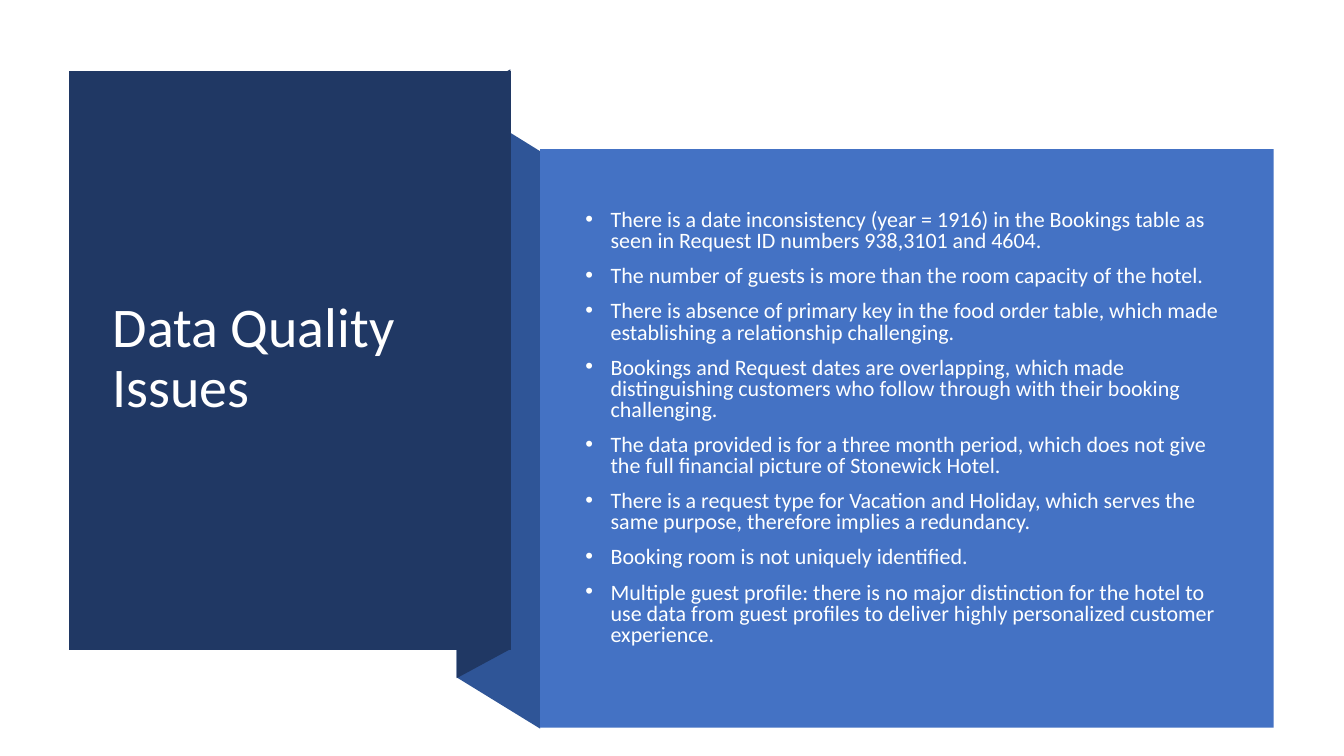
"""Build the Data Quality Issues slide: a folded ribbon panel beside a bulleted list."""
from lxml import etree
from pptx import Presentation
from pptx.dml.color import RGBColor
from pptx.enum.shapes import MSO_SHAPE
from pptx.enum.text import MSO_ANCHOR, MSO_AUTO_SIZE, PP_ALIGN
from pptx.oxml.ns import qn
from pptx.util import Cm, Pt

RECTANGLE = MSO_SHAPE.RECTANGLE
MIDDLE = MSO_ANCHOR.MIDDLE
NO_AUTOFIT = MSO_AUTO_SIZE.NONE
LEFT = PP_ALIGN.LEFT

HEADING = "Data Quality Issues"
ISSUES = [
    "There is a date inconsistency (year = 1916) in the Bookings table as seen in Request ID numbers 938,3101 and 4604.",
    "The number of guests is more than the room capacity of the hotel.",
    "There is absence of primary key in the food order table, which made establishing a relationship challenging.",
    "Bookings and Request dates are overlapping, which made distinguishing customers who follow through with their booking challenging.",
    "The data provided is for a three month period, which does not give the full financial picture of Stonewick Hotel.",
    "There is a request type for Vacation and Holiday, which serves the same purpose, therefore implies a redundancy.",
    "Booking room is not uniquely identified.",
    "Multiple guest profile: there is no major distinction for the hotel to use data from guest profiles to deliver highly personalized customer experience.",
]

FONT = "Calibri"
COLORS = {
    "navy": "203864",
    "fold": "2F5597",
    "panel": "4472C4",
    "heading": "FFFFFF",
    "issue": "FEFFFF",
}
RIBBON = [
    ("fold", [(13.61, 18.36), (11.51, 17.07), (11.51, 2.51), (13.61, 3.81)]),
    ("navy", [(12.86, 16.36), (11.51, 17.09), (11.51, 2.49), (12.86, 1.75)]),
    ("navy", [(1.75, 1.78), (12.88, 1.78), (12.88, 16.38), (1.75, 16.38)]),
]
HEADING_BOX = (2.59, 2.72, 9.42, 12.67)
PANEL_BOX = (13.61, 3.76, 18.49, 14.58)
ISSUES_BOX = (14.5, 4.78, 16.54, 12.04)
BULLET_INDENT = Cm(0.64)


def paint(shape, color):
    shape.shadow.inherit = False
    shape.fill.solid()
    shape.fill.fore_color.rgb = RGBColor.from_string(COLORS[color])
    shape.line.fill.background()


def set_frame(frame):
    frame.word_wrap = True
    frame.auto_size = NO_AUTOFIT
    frame.vertical_anchor = MIDDLE


def write(paragraph, text, size, color, spacing):
    paragraph.alignment = LEFT
    paragraph.line_spacing = spacing
    run = paragraph.add_run()
    run.text = text
    run.font.name = FONT
    run.font.size = Pt(size)
    run.font.color.rgb = RGBColor.from_string(COLORS[color])


def add_bullet(paragraph):
    properties = paragraph._p.get_or_add_pPr()
    properties.set("marL", str(BULLET_INDENT))
    properties.set("indent", str(-BULLET_INDENT))
    etree.SubElement(properties, qn("a:buFont"), typeface="Arial")
    etree.SubElement(properties, qn("a:buChar"), char="•")


def main():
    deck = Presentation()
    deck.slide_width, deck.slide_height = Cm(33.87), Cm(19.05)
    slide = deck.slides.add_slide(deck.slide_layouts[5])
    shapes = slide.shapes

    for color, corners in RIBBON:
        start, *rest = [(Cm(x), Cm(y)) for x, y in corners]
        outline = shapes.build_freeform(*start)
        outline.add_line_segments(rest, close=True)
        paint(outline.convert_to_shape(), color)

    heading = shapes.title
    heading.left, heading.top, heading.width, heading.height = map(Cm, HEADING_BOX)
    set_frame(heading.text_frame)
    write(heading.text_frame.paragraphs[0], HEADING, 40, "heading", 0.9)
    shapes.element.append(heading.element)

    paint(shapes.add_shape(RECTANGLE, *map(Cm, PANEL_BOX)), "panel")

    issue_frame = shapes.add_textbox(*map(Cm, ISSUES_BOX)).text_frame
    set_frame(issue_frame)
    for index, issue in enumerate(ISSUES):
        paragraph = issue_frame.add_paragraph() if index else issue_frame.paragraphs[0]
        write(paragraph, issue, 15.7, "issue", 0.8)
        paragraph.space_before = Pt(10)
        add_bullet(paragraph)

    deck.save("out.pptx")


if __name__ == "__main__":
    main()
